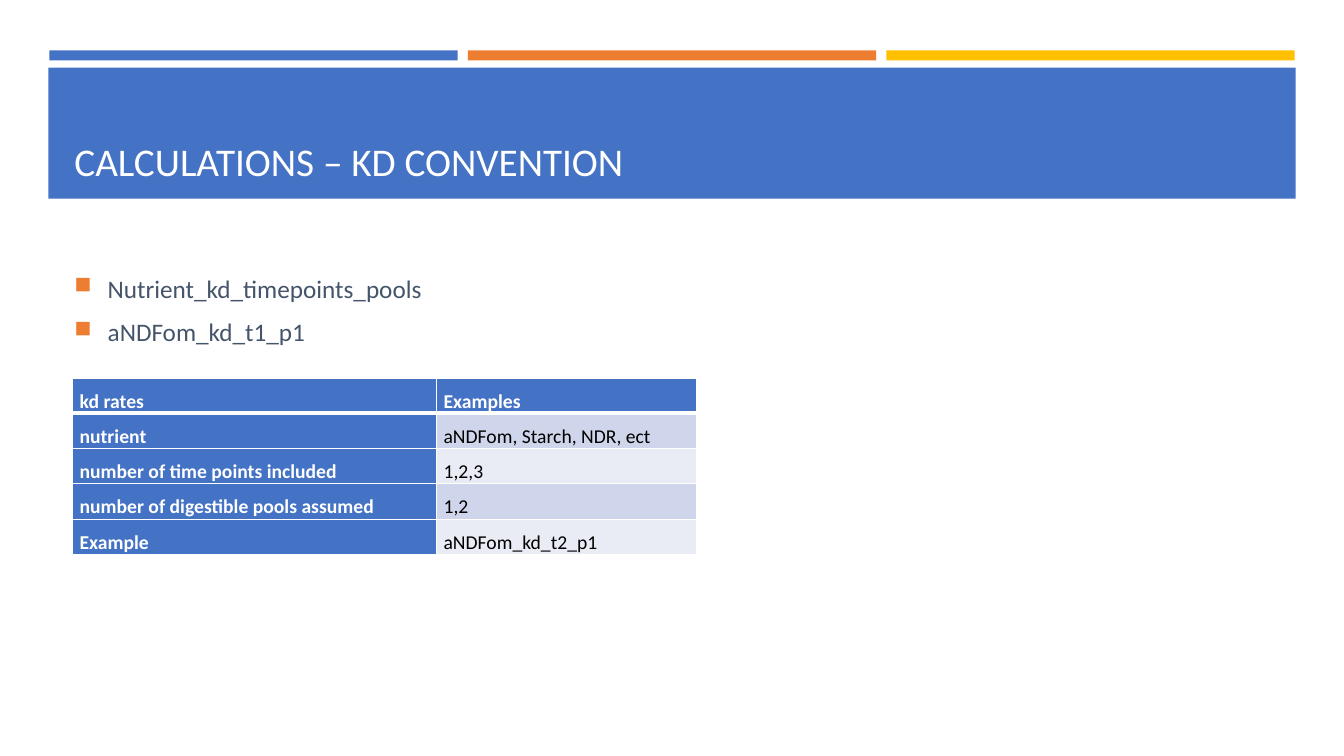
import pptx
import pptx.dml.color
import pptx.enum.shapes
import pptx.enum.text
import pptx.oxml
import pptx.oxml.ns
import pptx.util
from pptx.dml.color import RGBColor
from pptx.util import Inches

BLUE = RGBColor(0x44, 0x72, 0xC4)
ORANGE = RGBColor(0xED, 0x7D, 0x31)
GOLD = RGBColor(0xFF, 0xC0, 0x00)
SLATE = RGBColor(0x44, 0x54, 0x6A)
WHITE = RGBColor(0xFF, 0xFF, 0xFF)
BLACK = RGBColor(0x00, 0x00, 0x00)
BANDS = (RGBColor(0xCF, 0xD5, 0xEA), RGBColor(0xE9, 0xEB, 0xF5))

TITLE = "CALCULATIONS – KD CONVENTION"
NAMING_PATTERNS = ("Nutrient_kd_timepoints_pools", "aNDFom_kd_t1_p1")
KD_RATES = (
    ("kd rates", "Examples"),
    ("nutrient", "aNDFom, Starch, NDR, ect"),
    ("number of time points included", "1,2,3"),
    ("number of digestible pools assumed", "1,2"),
    ("Example", "aNDFom_kd_t2_p1"),
)


def element(xml):
    """Parse one DrawingML element, adding its namespace."""
    return pptx.oxml.parse_xml(xml.format(ns=pptx.oxml.ns.nsdecls("a")))


class SlideBuilder:
    """Holds the font and the slide, and adds each kind of element."""

    def __init__(self, slide, font="Calibri"):
        """Keep the slide to fill and the font to use."""
        self.slide = slide
        self.font = font

    def style(self, paragraph, size, color, bold=False):
        """Format every run of a paragraph."""
        for run in paragraph.runs:
            run.font.name = self.font
            run.font.size = pptx.util.Pt(size)
            run.font.color.rgb = color
            run.font.bold = bold

    def bar(self, left, top, width, height, color):
        """Add a plain filled rectangle."""
        bar = self.slide.shapes.add_shape(
            pptx.enum.shapes.MSO_SHAPE.RECTANGLE,
            Inches(left), Inches(top), Inches(width), Inches(height))
        bar.shadow.inherit = False
        bar.fill.solid()
        bar.fill.fore_color.rgb = color
        bar.line.fill.background()

    def text(self, left, top, width, height, lines, size, color, anchor):
        """Add a wrapping text box and return its paragraphs."""
        frame = self.slide.shapes.add_textbox(
            Inches(left), Inches(top), Inches(width), Inches(height)).text_frame
        frame.word_wrap = True
        frame.vertical_anchor = anchor
        frame.text = "\n".join(lines)
        for paragraph in frame.paragraphs:
            self.style(paragraph, size, color)
        return frame.paragraphs

    def bullets(self, left, top, width, height, lines, size, color, marker):
        """Add a list with square bullets and a hanging indent."""
        for paragraph in self.text(left, top, width, height, lines, size, color,
                                   pptx.enum.text.MSO_ANCHOR.TOP):
            paragraph.space_before = pptx.util.Pt(0.2 * size)
            paragraph.space_after = pptx.util.Pt(6)
            properties = paragraph._p.get_or_add_pPr()
            properties.set("marL", str(Inches(0.33)))
            properties.set("indent", str(-Inches(0.33)))
            for xml in (f'<a:buClr {{ns}}><a:srgbClr val="{marker}"/></a:buClr>',
                        '<a:buSzPct {ns} val="92000"/>',
                        '<a:buChar {ns} char="■"/>'):
                properties.append(element(xml))

    def borders(self, cell, top, bottom):
        """Give a cell white borders, with top and bottom widths in points."""
        properties = cell._tc.get_or_add_tcPr()
        sides = (("L", 1), ("R", 1), ("T", top), ("B", bottom))
        for position, (side, points) in enumerate(sides):
            properties.insert(position, element(
                f'<a:ln{side} {{ns}} w="{pptx.util.Pt(points)}"><a:solidFill>'
                f'<a:srgbClr val="{WHITE}"/></a:solidFill></a:ln{side}>'))

    def table(self, left, top, widths, row_height, rows, size):
        """Add a table with a blue header row and first column."""
        grid = self.slide.shapes.add_table(
            len(rows), len(widths), Inches(left), Inches(top),
            Inches(sum(widths)), Inches(row_height * len(rows))).table
        grid.first_col = True
        for column, width in zip(grid.columns, widths):
            column.width = Inches(width)
        for r, row in enumerate(rows):
            grid.rows[r].height = Inches(row_height)
            for c, wording in enumerate(row):
                heading = r == 0 or c == 0
                cell = grid.cell(r, c)
                cell.text_frame.text = wording
                cell.vertical_anchor = pptx.enum.text.MSO_ANCHOR.BOTTOM
                cell.margin_left = cell.margin_right = Inches(0.07)
                cell.margin_top = cell.margin_bottom = 0
                cell.fill.solid()
                cell.fill.fore_color.rgb = BLUE if heading else BANDS[(r - 1) % 2]
                self.borders(cell, 3 if r == 1 else 1, 3 if r == 0 else 1)
                paragraph = cell.text_frame.paragraphs[0]
                paragraph.line_spacing = 1.07
                self.style(paragraph, size, WHITE if heading else BLACK, heading)


def main():
    """Build and save the kd convention slide."""
    deck = pptx.Presentation()
    deck.slide_width = Inches(13.33)
    deck.slide_height = Inches(7.5)
    builder = SlideBuilder(deck.slides.add_slide(deck.slide_layouts[6]))

    for position, accent in enumerate((BLUE, ORANGE, GOLD)):
        builder.bar(0.49 + 4.15 * position, 0.5, 4.05, 0.1, accent)
    builder.bar(0.48, 0.67, 12.37, 1.3, BLUE)
    builder.text(0.64, 0.77, 12.06, 1.11, [TITLE], 28, WHITE,
                 pptx.enum.text.MSO_ANCHOR.BOTTOM)
    builder.bullets(0.64, 2.66, 12.06, 1, NAMING_PATTERNS, 18, SLATE, ORANGE)
    builder.table(0.72, 3.75, (3.61, 2.58), 0.35, KD_RATES, 14)

    deck.save("out.pptx")


main()
